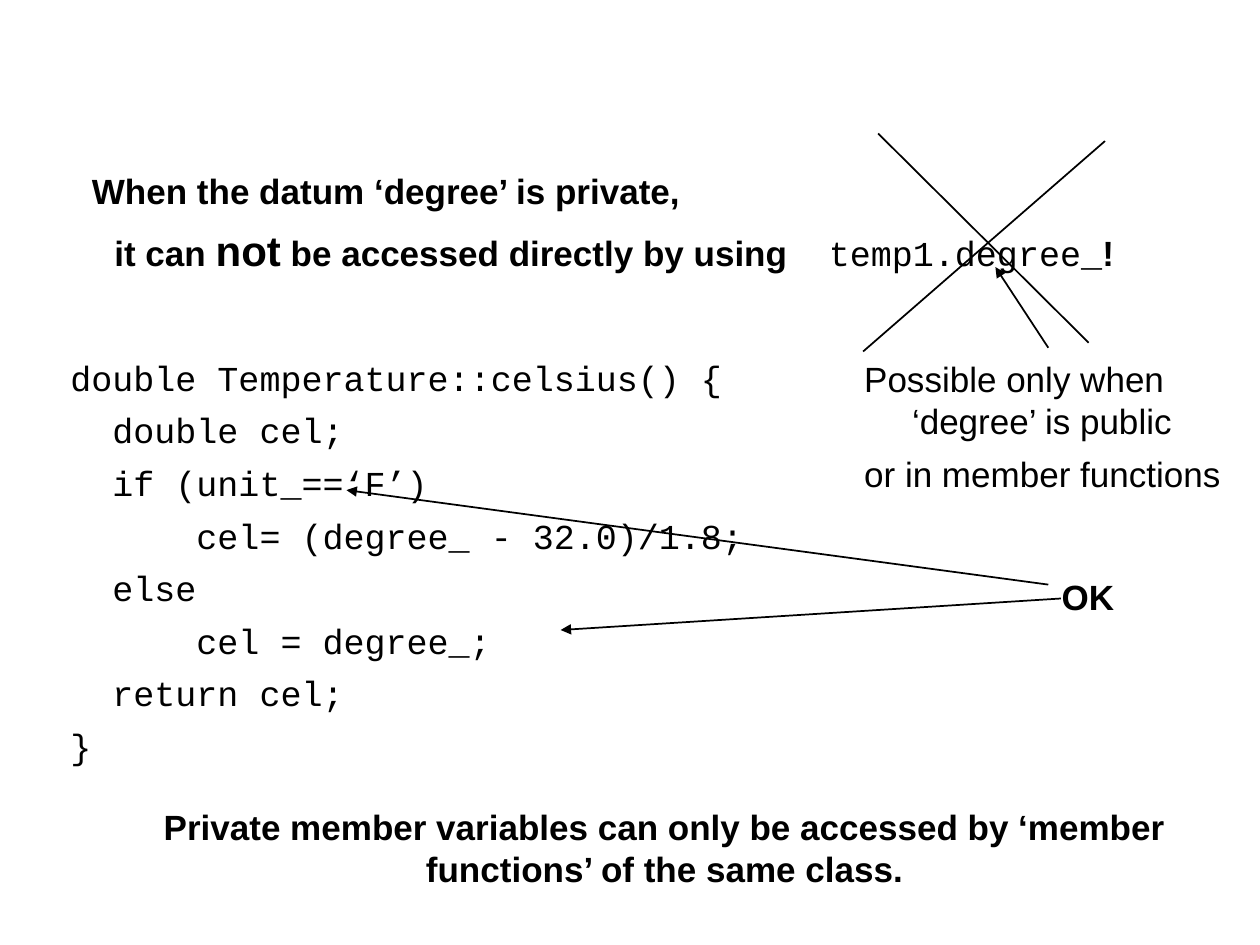
from dataclasses import dataclass
from typing import Any

from lxml import etree
from pptx import Presentation
from pptx import util as u
from pptx.dml import color
from pptx.enum import shapes, text
from pptx.oxml import ns

COLORS = {"ink": "000000"}
SANS, MONO = "Arial", "Courier New"
COLUMNS, ROWS = 100, 75
LEFT, CENTER = text.PP_ALIGN.LEFT, text.PP_ALIGN.CENTER


@dataclass
class SlideBuilder:
    """Draws on a slide; positions are columns and rows of the grid."""
    presentation: Any
    slide: Any
    size: float = 20
    gap: float = 6
    line_width: float = 1

    def x(self, columns):
        return round(self.presentation.slide_width * columns / COLUMNS)

    def y(self, rows):
        return round(self.presentation.slide_height * rows / ROWS)

    def text(self, left, top, width, height, paragraphs, align=LEFT, hanging=0, tab=None):
        """Each paragraph is a list of (words, style) runs."""
        shape = self.slide.shapes.add_textbox(
            self.x(left), self.y(top), self.x(width), self.y(height))
        frame = shape.text_frame
        frame.word_wrap = True
        for index, runs in enumerate(paragraphs):
            paragraph = frame.paragraphs[0] if index == 0 else frame.add_paragraph()
            paragraph.alignment = align
            if index:
                paragraph.space_before = u.Pt(self.gap)
            properties = paragraph._p.get_or_add_pPr()
            if hanging:
                properties.set("marL", str(self.x(hanging)))
                properties.set("indent", str(-self.x(hanging)))
            if tab:
                stops = etree.SubElement(properties, ns.qn("a:tabLst"))
                etree.SubElement(stops, ns.qn("a:tab"), pos=str(self.x(tab)), algn="l")
            for words, style in runs:
                self.run(paragraph, words, **style)

    def run(self, paragraph, words, font=SANS, size=None, bold=False):
        run = paragraph.add_run()
        run.text = words
        run.font.name = font
        run.font.size = u.Pt(size or self.size)
        run.font.bold = bold
        run.font.color.rgb = color.RGBColor.from_string(COLORS["ink"])

    def line(self, start, end, arrow=False):
        connector = self.slide.shapes.add_connector(
            shapes.MSO_CONNECTOR.STRAIGHT,
            self.x(start[0]), self.y(start[1]), self.x(end[0]), self.y(end[1]))
        connector.line.width = u.Pt(self.line_width)
        connector.line.color.rgb = color.RGBColor.from_string(COLORS["ink"])
        if arrow:
            etree.SubElement(connector.line._get_or_add_ln(), ns.qn("a:tailEnd"), type="triangle")
        etree.SubElement(connector._element.spPr, ns.qn("a:effectLst"))


def main():
    presentation = Presentation()
    presentation.slide_width, presentation.slide_height = u.Inches(10), u.Inches(7.5)
    slide = presentation.slides.add_slide(presentation.slide_layouts[6])
    builder = SlideBuilder(presentation, slide)
    plain, bold, code = {}, {"bold": True}, {"font": MONO}

    # Member function
    code_lines = [
        "double Temperature::celsius() {",
        "  double cel;",
        "  if (unit_==‘F’)",
        "      cel= (degree_ - 32.0)/1.8;",
        "  else",
        "      cel = degree_;",
        "  return cel;",
        "}",
    ]
    builder.text(4.6, 27.8, 62.9, 32.6, [[(line, code)] for line in code_lines], hanging=3.8)

    # Statement about private data
    builder.text(2.1, 13, 57.1, 4.4, [[("When the datum ‘degree’ is private,", bold)]], CENTER)
    builder.text(8.1, 17.3, 83, 5, [[
        ("it can ", bold),
        ("not", {"bold": True, "size": 24}),
        (" be accessed directly by using", bold),
        ("\t", bold),
        ("temp1.degree_", code),
        ("!", bold),
    ]], tab=56.7)

    # Cross over the direct access, with its exception
    builder.line((87.7, 11.2), (68.5, 27.9))
    builder.line((69.7, 10.6), (86.4, 27.2))
    builder.line((83.2, 27.6), (79, 21.2), arrow=True)
    builder.text(67.6, 27.9, 31.9, 11.7, [
        [("Possible only when ‘degree’ is public", plain)],
        [("or in member functions", plain)],
    ], hanging=3.8)

    # Allowed accesses
    builder.text(79.5, 45.2, 13.7, 4.4, [[("OK", bold)]], CENTER)
    builder.line((83.2, 46.4), (27.5, 38.9), arrow=True)
    builder.line((84.2, 47.5), (44.5, 50), arrow=True)

    # Conclusion
    builder.text(9, 63.4, 87.5, 7.7, [[
        ("Private member variables can only be accessed by "
         "‘member functions’ of the same class.", bold)]], CENTER)

    presentation.save("out.pptx")


if __name__ == "__main__":
    main()
